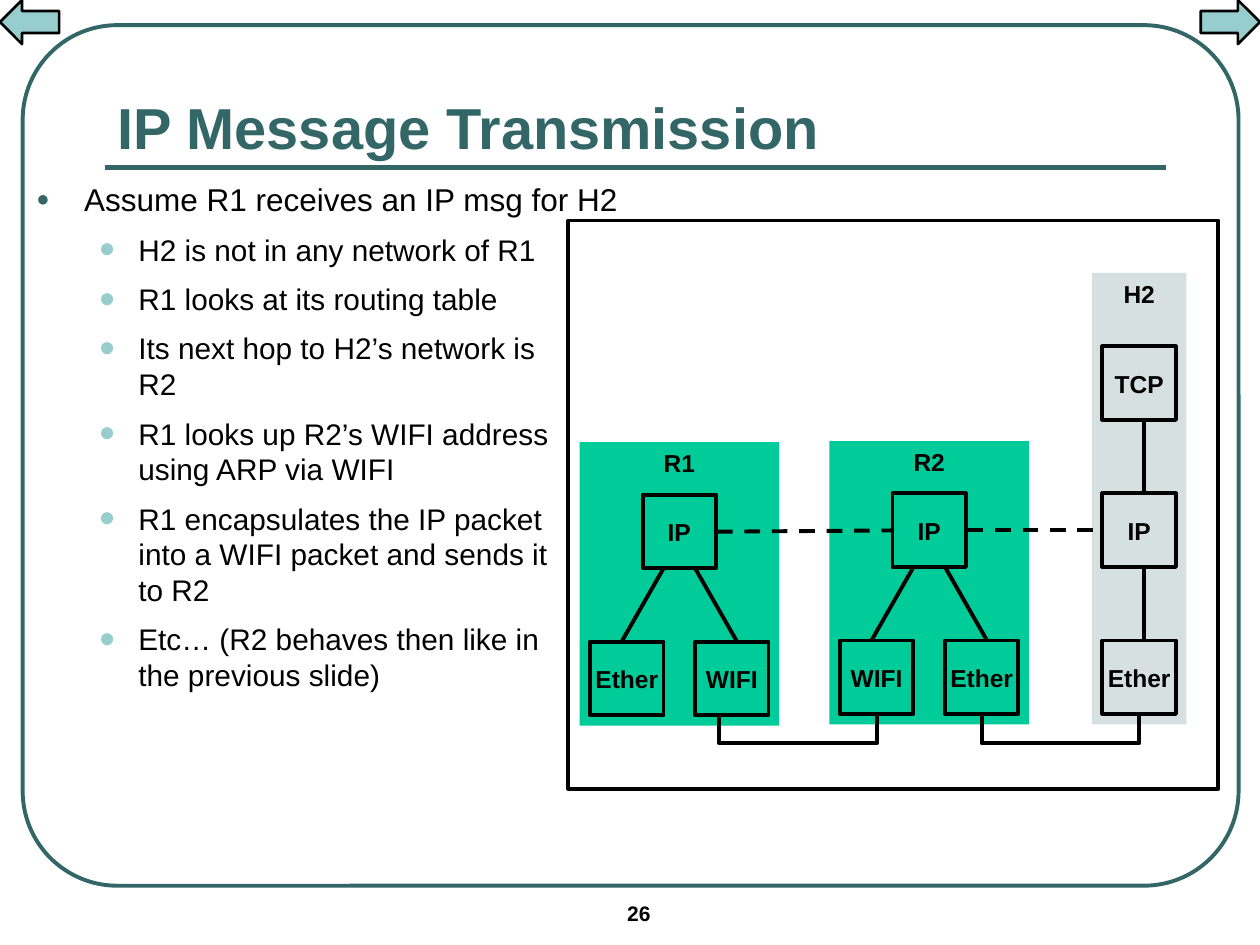
from lxml import etree
from pptx import Presentation, util as u
from pptx.dml.color import RGBColor
from pptx.enum import dml, shapes, text
from pptx.oxml.ns import qn

TEAL = RGBColor(0x33, 0x66, 0x66)
AQUA = RGBColor(0x97, 0xCD, 0xCC)
GREEN = RGBColor(0x00, 0xCC, 0x99)
GREY = RGBColor(0xD6, 0xE0, 0xE0)
BLACK = RGBColor(0, 0, 0)
WHITE = RGBColor(255, 255, 255)
KIND = shapes.MSO_SHAPE
STEP = 1 / 12  # grid unit of the network diagram, in inches
BOX = 7 * STEP


def write(paragraph, words, size=14, color=BLACK, bold=True, align=None):
    """Fill a paragraph with text, one line per newline, in one format."""
    paragraph.alignment = align
    for number, line in enumerate(words.split("\n")):
        if number:
            paragraph.add_line_break()
        run = paragraph.add_run()
        run.text = line
        run.font.name, run.font.size = "Arial", u.Pt(size)
        run.font.bold, run.font.color.rgb = bold, color


def draw(kind, left, top, width, height, fill=None, line=None, weight=2.25,
         label=None, anchor=text.MSO_ANCHOR.MIDDLE):
    """Add a preset shape in inches, with an optional centred label."""
    shape = slide.shapes.add_shape(kind, *map(u.Inches, (left, top, width, height)))
    shape.shadow.inherit = False
    if fill is None:
        shape.fill.background()
    else:
        shape.fill.solid()
        shape.fill.fore_color.rgb = fill
    if line is None:
        shape.line.fill.background()
    else:
        shape.line.color.rgb, shape.line.width = line, u.Pt(weight)
    if label:
        frame = shape.text_frame
        frame.word_wrap, frame.vertical_anchor = False, anchor
        write(frame.paragraphs[0], label, align=text.PP_ALIGN.CENTER)
    return shape


prs = Presentation()
prs.slide_width, prs.slide_height = u.Inches(10), u.Inches(7.5)
slide = prs.slides.add_slide(prs.slide_layouts[5])

# Slide frame, navigation arrows and title
frame = draw(KIND.ROUNDED_RECTANGLE, 0.18, 0.2, 9.65, 6.83, line=TEAL)
frame.adjustments[0] = 0.11
for arrow, left in ((KIND.RIGHT_ARROW, 9.53), (KIND.LEFT_ARROW, 0)):
    draw(arrow, left, 0, 0.47, 0.35, fill=AQUA, line=BLACK, weight=1.5)

title = slide.shapes.title
title.left, title.top, title.width, title.height = map(u.Inches, (0.83, 0.58, 8.42, 0.75))
title.text_frame.vertical_anchor = text.MSO_ANCHOR.BOTTOM
write(title.text_frame.paragraphs[0], "IP Message Transmission", size=33,
      color=TEAL, align=text.PP_ALIGN.LEFT)

# Diagram panel and hosts: left, top, height, name, fill
draw(KIND.RECTANGLE, 4.51, 1.75, 5.16, 4.51, fill=WHITE, line=BLACK)
R1, R2, H2 = (4.6, 3.51), (79 * STEP, 3.5), (104 * STEP, 26 * STEP)
for (left, top), width, height, name, fill in (
        (R1, 19, 27, "R1", GREEN), (R2, 19, 27, "R2", GREEN), (H2, 9, 43, "H2", GREY)):
    draw(KIND.RECTANGLE, left, top, width * STEP, height * STEP, fill=fill,
         label=name, anchor=text.MSO_ANCHOR.TOP)

# Protocol modules: host, column and row in grid units
for (left, top), column, row, name in (
        (R1, 6, 5, "IP"), (R1, 1, 19, "Ether"), (R1, 11, 19, "WIFI"),
        (R2, 6, 5, "IP"), (R2, 1, 19, "WIFI"), (R2, 11, 19, "Ether"),
        (H2, 1, 7, "TCP"), (H2, 1, 21, "IP"), (H2, 1, 35, "Ether")):
    draw(KIND.RECTANGLE, left + column * STEP, top + row * STEP, BOX, BOX,
         line=BLACK, label=name)

# Straight links: from, to, colour, weight, dashed
links = [(0.83, 1.33, 9.25, 1.33, TEAL, 3, False),
         (5.69, 4.22, 7.08, 4.21, BLACK, 2.25, True),
         (7.68, 4.21, 8.73, 4.21, BLACK, 2.25, True)]
for left, top in (R1, R2):
    for upper, lower in ((8, 4), (11, 15)):
        links.append((left + upper * STEP, top + 12 * STEP,
                      left + lower * STEP, top + 19 * STEP, BLACK, 2.25, False))
for row in (14, 28):
    links.append((9.08, H2[1] + row * STEP, 9.08, H2[1] + row * STEP + BOX,
                  BLACK, 2.25, False))
for *ends, color, weight, dashed in links:
    link = slide.shapes.add_connector(shapes.MSO_CONNECTOR.STRAIGHT, *map(u.Inches, ends))
    link.line.color.rgb, link.line.width = color, u.Pt(weight)
    if dashed:
        link.line.dash_style = dml.MSO_LINE.DASH
    etree.SubElement(link._element.spPr, qn("a:effectLst"))

# Physical networks joining the bottom modules
for left in (5.71, 7.79):
    right = left + 15 * STEP
    path = slide.shapes.build_freeform(u.Inches(left), u.Inches(5.68))
    path.add_line_segments([(u.Inches(x), u.Inches(y)) for x, y in
                            ((left, 5.9), (right, 5.9), (right, 5.68))], close=False)
    network = path.convert_to_shape()
    network.shadow.inherit = False
    network.fill.background()
    network.line.color.rgb, network.line.width = BLACK, u.Pt(2.25)

# Explanation: level, text
steps = (
    (0, "Assume R1 receives an IP msg for H2"),
    (1, "H2 is not in any network of R1"),
    (1, "R1 looks at its routing table"),
    (1, "Its next hop to H2’s network is \nR2"),
    (1, "R1 looks up R2’s WIFI address\nusing ARP via WIFI"),
    (1, "R1 encapsulates the IP packet\ninto a WIFI packet and sends it\nto R2"),
    (1, "Etc… (R2 behaves then like in \nthe previous slide)"),
)
# Per level: text size, margin, indent, bullet, bullet colour, bullet size in %
styles = ((18, 0.38, -0.38, "●", TEAL, 70), (17, 0.81, -0.31, "•", AQUA, 150))
body = slide.shapes.add_textbox(*map(u.Inches, (0.19, 1.38, 4.89, 5.38))).text_frame
body.word_wrap = True
for number, (level, words) in enumerate(steps):
    size, margin, indent, bullet, color, percent = styles[level]
    step = body.add_paragraph() if number else body.paragraphs[0]
    step.level, step.space_before = level, u.Pt(7.8 if number else 0)
    write(step, words, size=size, bold=False)
    props = step._p.get_or_add_pPr()
    props.set("marL", str(u.Inches(margin)))
    props.set("indent", str(u.Inches(indent)))
    tint = etree.SubElement(props, qn("a:buClr"))
    etree.SubElement(tint, qn("a:srgbClr"), val=str(color))
    etree.SubElement(props, qn("a:buSzPct"), val=str(percent * 1000))
    etree.SubElement(props, qn("a:buFont"), typeface="Arial")
    etree.SubElement(props, qn("a:buChar"), char=bullet)

page = slide.shapes.add_textbox(*map(u.Inches, (4.88, 7.1, 1.17, 0.33))).text_frame
page.word_wrap = True
write(page.paragraphs[0], "26", size=12)

prs.save("out.pptx")
